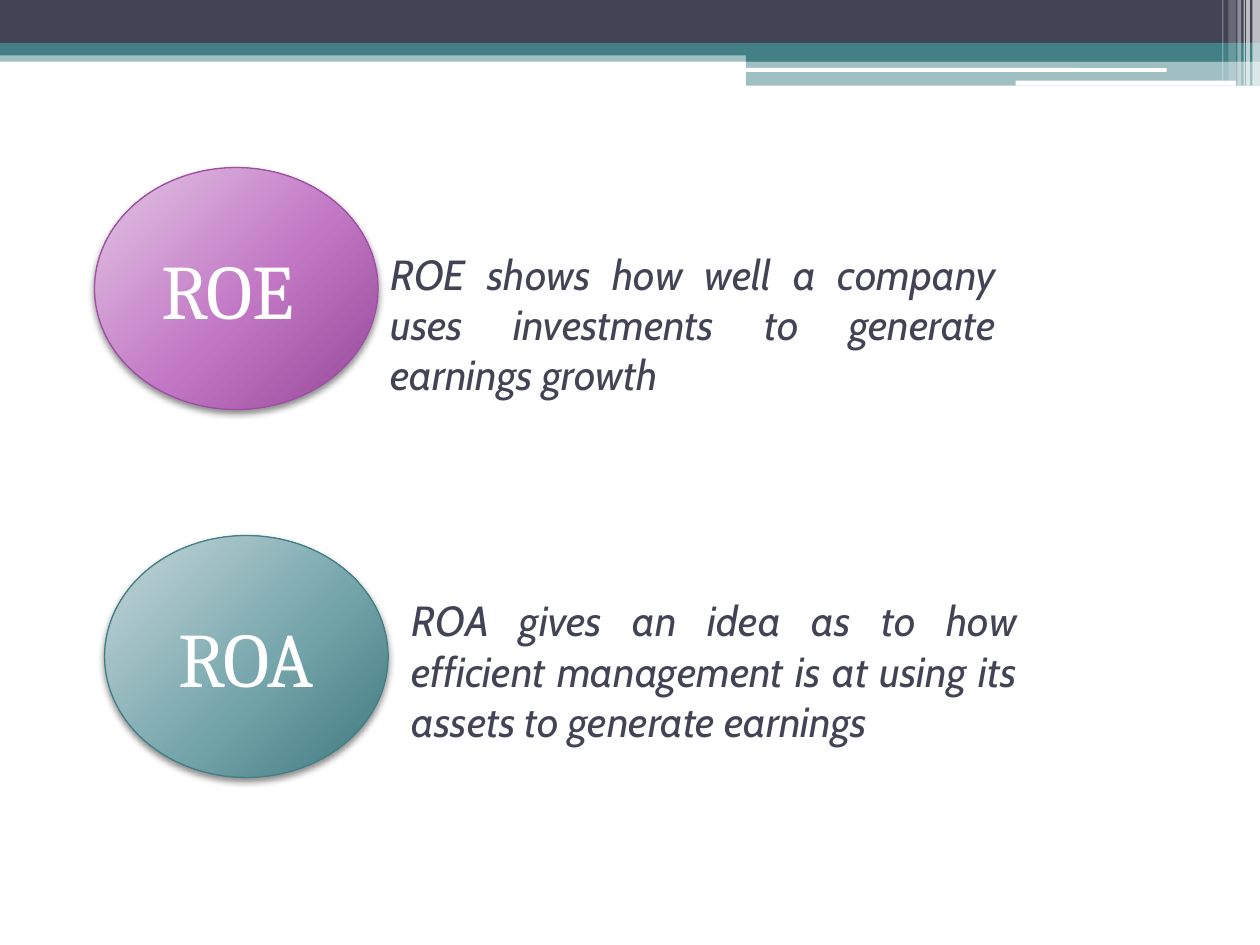
from lxml.etree import SubElement
from pptx import Presentation
from pptx.dml.color import RGBColor
from pptx.enum.shapes import MSO_SHAPE as Shape
from pptx.enum.text import MSO_ANCHOR as Anchor, PP_ALIGN as Align
from pptx.oxml import parse_xml
from pptx.oxml.ns import nsdecls, qn
from pptx.util import Inches, Pt

COLORS = {"dark": "424456", "teal": "438086", "purple": "A04DA3",
          "white": "FFFFFF", "shadow": "000000"}

# Header bands: left, top, width, height, color, opacity in percent
BANDS = [
    (0, 0.4, 10, 0.09, "teal", 50),
    (0, 0, 10, 0.34, "dark", 100),
    (0, 0.34, 10, 0.1, "teal", 100),
    (5.92, 0.39, 4.08, 0.1, "teal", 100),
    (5.92, 0.48, 4.08, 0.2, "teal", 50),
]
# White rounded lines: left, top, width, height
LINES = [(5.91, 0.54, 3.35, 0.03), (8.06, 0.64, 1.75, 0.04)]
# White stripes at the right edge: left, width, height, opacity
STRIPES = [
    (9.94, 0.06, 0.68, 65), (9.89, 0.03, 0.68, 65), (9.87, 0.01, 0.68, 60),
    (9.82, 0.03, 0.68, 40), (9.75, 0.06, 0.64, 20), (9.7, 0.01, 0.64, 30),
]
RATIOS = [
    {"name": "ROE ", "circle": (0.75, 1.33), "line": "purple",
     "stops": [(0, "E2C6E3"), (55, "C277C5"), (100, "954898")],
     "text": "ROE shows how well a company uses investments to generate earnings growth",
     "box": (3, 1.92, 5, 1.31)},
    {"name": "ROA", "circle": (0.83, 4.25), "line": "teal",
     "stops": [(0, "C7D7DA"), (55, "77A7AD"), (100, "3E777D")],
     "text": "ROA gives an idea as to how efficient management is at using its assets to generate earnings",
     "box": (3.17, 4.67, 5, 1.72)},
]
CIRCLE_SIZE = (2.25, 1.92)


def rgb(name):
    return RGBColor.from_string(COLORS[name])


def add_block(page, kind, place, color, opacity=100):
    block = page.shapes.add_shape(kind, *map(Inches, place))
    block.shadow.inherit = False
    block.fill.solid()
    block.fill.fore_color.rgb = rgb(color)
    block.line.fill.background()
    if opacity < 100:
        tint = block.fill._xPr.find(".//" + qn("a:srgbClr"))
        SubElement(tint, qn("a:alpha"), val=str(opacity * 1000))
    return block


def write(shape, text, font, size, color, align, italic=False, anchor=Anchor.TOP):
    frame = shape.text_frame
    frame.word_wrap = True
    frame.vertical_anchor = anchor
    para = frame.paragraphs[0]
    para.alignment = align
    span = para.add_run()
    span.text = text
    span.font.name, span.font.size, span.font.italic = font, Pt(size), italic
    span.font.color.rgb = rgb(color)


def add_circle(page, ratio):
    circle = add_block(page, Shape.OVAL, ratio["circle"] + CIRCLE_SIZE, ratio["line"])
    circle.line.color.rgb = rgb(ratio["line"])
    circle.line.width = Pt(0.75)
    # Radial gradient and soft shadow below
    stops = "".join(f'<a:gs pos="{at * 1000}"><a:srgbClr val="{color}"/></a:gs>'
                    for at, color in ratio["stops"])
    gradient = parse_xml(
        f'<a:gradFill {nsdecls("a")} rotWithShape="1"><a:gsLst>{stops}</a:gsLst>'
        '<a:path path="circle"><a:fillToRect l="-40000" t="-90000" r="140000" b="190000"/>'
        '</a:path></a:gradFill>')
    shadow = parse_xml(
        f'<a:outerShdw {nsdecls("a")} blurRad="{Pt(4)}" dist="{Pt(2)}" dir="5400000" '
        f'rotWithShape="0"><a:srgbClr val="{COLORS["shadow"]}"><a:alpha val="45000"/>'
        '</a:srgbClr></a:outerShdw>')
    properties = circle.fill._xPr
    properties.replace(properties.find(qn("a:solidFill")), gradient)
    properties.find(qn("a:effectLst")).append(shadow)
    write(circle, ratio["name"], "Cambria", 44, "white", Align.CENTER, anchor=Anchor.MIDDLE)


def main():
    deck = Presentation()
    deck.slide_width, deck.slide_height = Inches(10), Inches(7.5)
    page = deck.slides.add_slide(deck.slide_layouts[6])

    # Header
    for *place, color, opacity in BANDS:
        add_block(page, Shape.RECTANGLE, place, color, opacity)
    for place in LINES:
        add_block(page, Shape.ROUNDED_RECTANGLE, place, "white")
    for left, width, height, opacity in STRIPES:
        add_block(page, Shape.RECTANGLE, (left, 0, width, height), "white", opacity)

    # Ratios with their explanations
    for ratio in RATIOS:
        add_circle(page, ratio)
        box = page.shapes.add_textbox(*map(Inches, ratio["box"]))
        write(box, ratio["text"], "Cabin", 24, "dark", Align.JUSTIFY, italic=True)

    deck.save("out.pptx")


if __name__ == "__main__":
    main()
